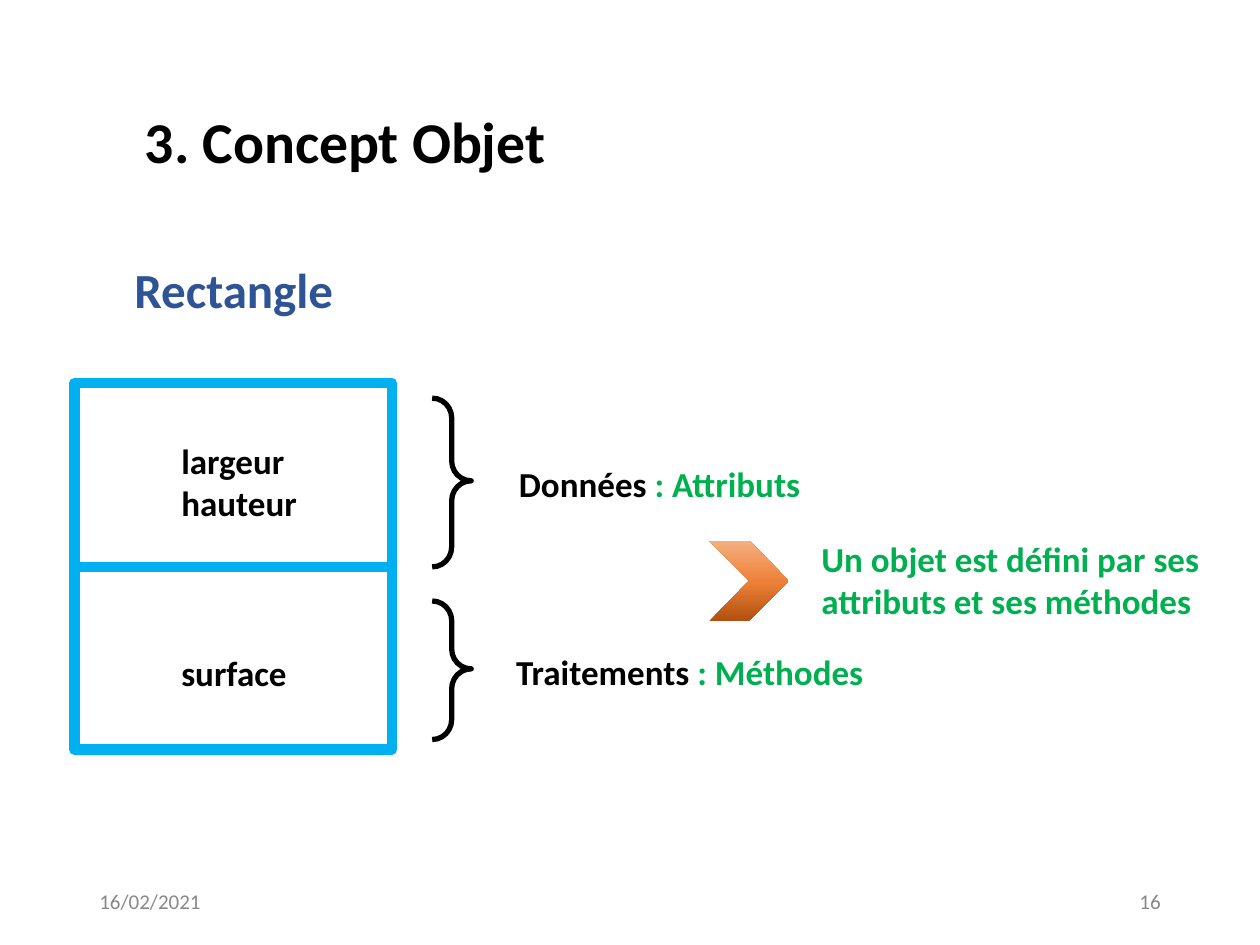
import copy
from dataclasses import dataclass

import pptx
import pptx.dml.color
import pptx.enum.shapes
import pptx.enum.text
import pptx.oxml
import pptx.util

Inches = pptx.util.Inches
Pt = pptx.util.Pt
ALIGN = pptx.enum.text.PP_ALIGN
ANCHOR = pptx.enum.text.MSO_ANCHOR
SHAPE = pptx.enum.shapes.MSO_SHAPE


@dataclass(frozen=True)
class Theme:
    font: str = "Calibri"
    black: str = "000000"
    white: str = "FFFFFF"
    grey: str = "888888"
    blue: str = "2F5496"
    frame: str = "00B0F0"
    green: str = "00B050"
    chevron: tuple = ((0, "B0500F"), (0.48, "ED8037"), (1, "F4B081"))
    title_size: int = 33
    heading_size: int = 28
    body_size: int = 20
    footer_size: int = 12


THEME = Theme()


def rgb(value):
    return pptx.dml.color.RGBColor.from_string(value)


def add_span(para, text, size, color, bold=True):
    span = para.add_run()
    span.text = text
    span.font.name = THEME.font
    span.font.size = Pt(size)
    span.font.bold = bold
    span.font.color.rgb = rgb(color)


def add_text(page, place, spans, size, align=ALIGN.LEFT, anchor=ANCHOR.TOP,
             bold=True, inset=True):
    """Add a one-paragraph text box; spans are (text, colour) pairs."""
    box = page.shapes.add_textbox(*map(Inches, place))
    frame = box.text_frame
    frame.word_wrap = True
    frame.vertical_anchor = anchor
    if not inset:
        frame.margin_left = frame.margin_right = 0
        frame.margin_top = frame.margin_bottom = 0
    para = frame.paragraphs[0]
    para.alignment = align
    for text, color in spans:
        add_span(para, text, size, color, bold)


def add_outline(page, kind, place, color, width):
    shape = page.shapes.add_shape(kind, *map(Inches, place))
    shape.shadow.inherit = False
    shape.fill.background()
    shape.line.color.rgb = rgb(color)
    shape.line.width = Pt(width)
    return shape


def add_class_box(page, left, top, width, height, divider):
    """Add the framed class: attributes above the divider, method below."""
    box = add_outline(page, SHAPE.RECTANGLE, (left, top, width, height), THEME.frame, 6)
    box.fill.solid()
    box.fill.fore_color.rgb = rgb(THEME.white)
    frame = box.text_frame
    frame.word_wrap = True
    frame.vertical_anchor = ANCHOR.MIDDLE
    for index, member in enumerate(("largeur", "hauteur", "surface")):
        para = frame.paragraphs[0] if index == 0 else frame.add_paragraph()
        para.alignment = ALIGN.LEFT
        add_span(para, member, THEME.body_size, THEME.black)
        para._p.get_or_add_pPr().set("marL", str(Inches(0.75)))
    para.space_before = Pt(73)

    line = page.shapes.add_connector(
        pptx.enum.shapes.MSO_CONNECTOR.STRAIGHT,
        *map(Inches, (left, divider, left + width, divider)))
    line.line.color.rgb = rgb(THEME.frame)
    line.line.width = Pt(6)
    line._element.spPr.append(pptx.oxml.parse_xml(
        '<a:effectLst xmlns:a="http://schemas.openxmlformats.org/drawingml/2006/main"/>'))


def add_brace(page, top, height):
    brace = add_outline(page, SHAPE.RIGHT_BRACE, (3.43, top, 0.31, height), THEME.black, 3)
    brace.adjustments[0] = 0.51
    brace.adjustments[1] = 0.49


def add_chevron(page, place):
    chevron = page.shapes.add_shape(SHAPE.CHEVRON, *map(Inches, place))
    chevron.shadow.inherit = False
    chevron.line.fill.background()
    chevron.fill.gradient()
    chevron.fill.gradient_angle = 90
    # The default gradient has two stops; a third one is needed
    first = chevron._element.spPr.xpath(".//a:gs")[0]
    first.addnext(copy.deepcopy(first))
    for stop, (position, color) in zip(chevron.fill.gradient_stops, THEME.chevron):
        stop.position = position
        stop.color.rgb = rgb(color)


def main():
    deck = pptx.Presentation()
    deck.slide_width, deck.slide_height = Inches(10), Inches(7.5)
    page = deck.slides.add_slide(deck.slide_layouts[6])

    # Title and class
    add_text(page, (1.15, 0.84, 8.25, 0.77), [("3. Concept Objet", THEME.black)],
             THEME.title_size, inset=False)
    add_class_box(page, 0.59, 3.04, 2.52, 2.91, 4.5)
    add_text(page, (0.84, 2.01, 2.03, 0.57), [("Rectangle", THEME.blue)],
             THEME.heading_size, ALIGN.CENTER)

    # Braces with their labels
    for top, height, label_place, label, term in (
            (3.16, 1.34, (2.48, 3.62, 5.51, 0.44), "Données", " : Attributs"),
            (4.77, 1.1, (2.56, 5.11, 5.83, 0.44), "Traitements", " : Méthodes")):
        add_brace(page, top, height)
        add_text(page, label_place, [(label, THEME.black), (term, THEME.green)],
                 THEME.body_size, ALIGN.CENTER)

    # Conclusion
    add_chevron(page, (5.63, 4.29, 0.63, 0.64))
    add_text(page, (6.42, 4.22, 3.88, 0.77),
             [("Un objet est défini par ses attributs et ses méthodes", THEME.green)],
             THEME.body_size)

    # Date and page number
    for left, text, align in ((0.69, "16/02/2021", ALIGN.LEFT), (7.06, "16", ALIGN.RIGHT)):
        add_text(page, (left, 6.95, 2.25, 0.4), [(text, THEME.grey)],
                 THEME.footer_size, align, ANCHOR.MIDDLE, bold=False)

    deck.save("out.pptx")


if __name__ == "__main__":
    main()
